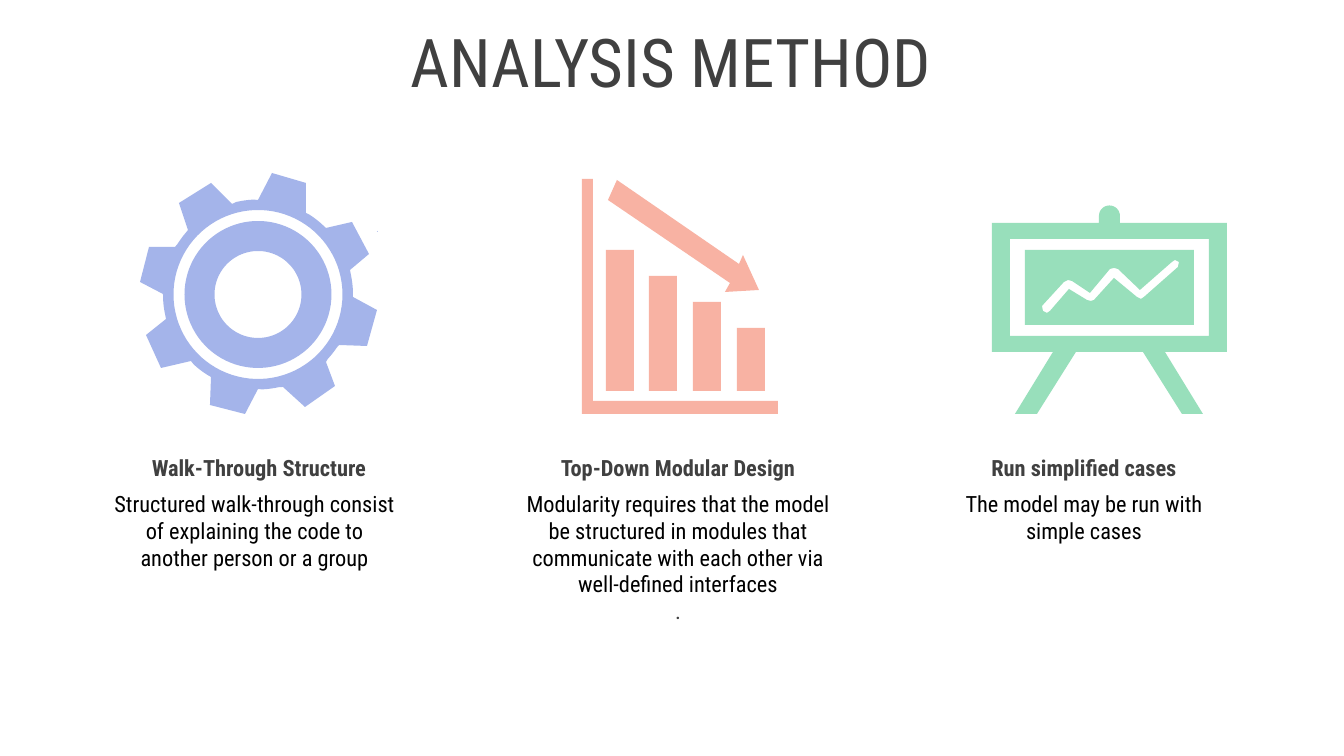
from dataclasses import dataclass
from math import atan2, cos, pi, sin

from pptx import Presentation
from pptx import util as u
from pptx.dml.color import RGBColor
from pptx.enum import text

SCALE = 914400 / 100.8  # EMU in one px
FONT = "Roboto Condensed"
COLOURS = {
    "heading": "404040",
    "body": "000000",
    "gear": "A4B4EA",
    "chart": "F8B2A3",
    "board": "98DFBB",
}
TITLE = {"size": u.Pt(48), "bold": False}
HEADING = {"size": u.Pt(16), "bold": True}
BODY = {"size": u.Pt(16), "bold": False}

Point = tuple[float, float]
Outline = list[Point]


@dataclass
class Span:
    words: str
    colour: str = "body"


@dataclass
class Column:
    left: int
    heading_width: int
    body_width: int
    body_height: int
    heading: str
    paragraphs: list[list[Span]]


@dataclass
class Icon:
    colour: str
    outlines: list[Outline]


def emu(px: float) -> u.Emu:
    return u.Emu(round(px * SCALE))


def arc(x: float, y: float, radius: float, start: float, end: float, steps: int) -> Outline:
    angles = [start + (end - start) * i / steps for i in range(steps + 1)]
    return [(x + radius * cos(a), y + radius * sin(a)) for a in angles]


def circle(x: float, y: float, radius: float) -> Outline:
    return arc(x, y, radius, 0, 2 * pi, 90)


def rectangle(left: int, top: int, right: int, bottom: int) -> Outline:
    return [(left, top), (right, top), (right, bottom), (left, bottom)]


def add_icon(page, icon: Icon) -> None:
    """Draw all outlines as one shape; inner outlines become holes."""
    builder = None
    for outline in icon.outlines:
        points = [(emu(x), emu(y)) for x, y in outline]
        if builder is None:
            builder = page.shapes.build_freeform(*points[0], scale=1.0)
        else:
            builder.move_to(*points[0])
        builder.add_line_segments(points[1:], close=True)
    shape = builder.convert_to_shape()
    shape.shadow.inherit = False
    shape.fill.solid()
    shape.fill.fore_color.rgb = RGBColor.from_string(COLOURS[icon.colour])
    shape.line.fill.background()


def add_text(page, area: tuple[int, int, int, int], paragraphs: list[list[Span]],
             style: dict, anchor=text.MSO_ANCHOR.TOP) -> None:
    box = page.shapes.add_textbox(*map(emu, area))
    frame = box.text_frame
    frame.word_wrap = True
    frame.vertical_anchor = anchor
    for index, spans in enumerate(paragraphs):
        para = frame.add_paragraph() if index else frame.paragraphs[0]
        para.alignment = text.PP_ALIGN.CENTER
        for number, span in enumerate(spans):
            if number:
                para.add_line_break()
            run = para.add_run()
            run.text = span.words
            run.font.name = FONT
            run.font.color.rgb = RGBColor.from_string(COLOURS[span.colour])
            for name, value in style.items():
                setattr(run.font, name, value)


def gear_outlines() -> list[Outline]:
    x, y, rim = 258, 294.5, 95
    teeth = [
        [(258, 200), (272, 173), (306, 183), (306, 213)],
        [(326, 228), (352, 222), (369, 254), (350, 270)],
        [(353, 297), (377, 310), (367, 346), (339, 345)],
        [(326, 362), (335, 386), (305, 407), (283, 387)],
        [(258, 389), (245, 414), (210, 405), (211, 377)],
        [(191, 361), (161, 368), (146, 335), (166, 319)],
        [(163, 294), (140, 282), (149, 247), (175, 247)],
        [(188, 230), (179, 203), (211, 183), (232, 204)],
    ]
    edge = []
    for tooth, following in zip(teeth, teeth[1:] + teeth[:1]):
        (end_x, end_y), (next_x, next_y) = tooth[-1], following[0]
        start = atan2(end_y - y, end_x - x)
        sweep = (atan2(next_y - y, next_x - x) - start) % (2 * pi)
        edge += tooth + arc(x, y, rim, start, start + sweep, 6)[1:-1]
    speck = [(378, 231), (378, 232), (377, 232)]
    return [edge, *(circle(x, y, r) for r in (84.5, 73.5, 43.5)), speck]


def chart_outlines() -> list[Outline]:
    axes = [(582, 179), (593, 179), (593, 401), (778, 401), (778, 414), (582, 414)]
    arrow = [(617, 180), (739, 264), (743, 255), (759, 290), (725, 292), (730, 283), (608, 200)]
    lefts = [606 + i * 131 // 3 for i in range(4)]
    bars = [rectangle(left, 250 + 26 * i, left + 28, 391) for i, left in enumerate(lefts)]
    return [axes, arrow, *bars]


def board_outlines() -> list[Outline]:
    stand = [
        (1099, 223), *arc(1109.5, 216, 10.5, pi, 2 * pi, 16), (1120, 223),
        (1227, 223), (1227, 352), (1165, 352), (1203, 414), (1182, 414), (1143, 352),
        (1076, 352), (1037, 414), (1015, 414), (1053, 352), (992, 352), (992, 223),
    ]
    trend = [
        (1175, 260), (1172, 262), (1140, 290), (1118, 269), (1114, 268), (1110, 269),
        (1090, 293), (1072, 281), (1068, 280), (1064, 282), (1042, 306), (1043, 311),
        (1047, 313), (1050, 311), (1069, 289), (1087, 300), (1091, 301), (1094, 300),
        (1114, 278), (1137, 297), (1141, 299), (1144, 297), (1178, 267), (1179, 262),
    ]
    return [stand, rectangle(1010, 239, 1209, 336), rectangle(1025, 250, 1194, 325), trend]


COLUMNS = [
    Column(102, 314, 305, 144, "Walk-Through Structure", [
        [Span("Structured walk-through consist of explaining the code to another person or a group")],
    ]),
    Column(514, 328, 328, 198, "Top-Down Modular Design", [
        [Span("Modularity requires that the model be structured in modules that")],
        [Span("communicate with each other via"), Span("well-defined interfaces"), Span(".", "heading")],
    ]),
    Column(927, 314, 314, 91, "Run simplified cases", [
        [Span("The model may be run with simple cases")],
    ]),
]


def main() -> None:
    deck = Presentation()
    deck.slide_width, deck.slide_height = emu(1344), emu(756)
    page = deck.slides.add_slide(deck.slide_layouts[6])

    # Title
    add_text(page, (-1, 18, 1344, 85), [[Span("ANALYSIS METHOD", "heading")]],
             TITLE, text.MSO_ANCHOR.MIDDLE)

    # Columns of text
    for column in COLUMNS:
        add_text(page, (column.left, 485, column.body_width, column.body_height),
                 column.paragraphs, BODY)
        add_text(page, (column.left, 449, column.heading_width, 36),
                 [[Span(column.heading, "heading")]], HEADING)

    # Icons
    for icon in (Icon("chart", chart_outlines()), Icon("gear", gear_outlines()),
                 Icon("board", board_outlines())):
        add_icon(page, icon)

    deck.save("out.pptx")


if __name__ == "__main__":
    main()
